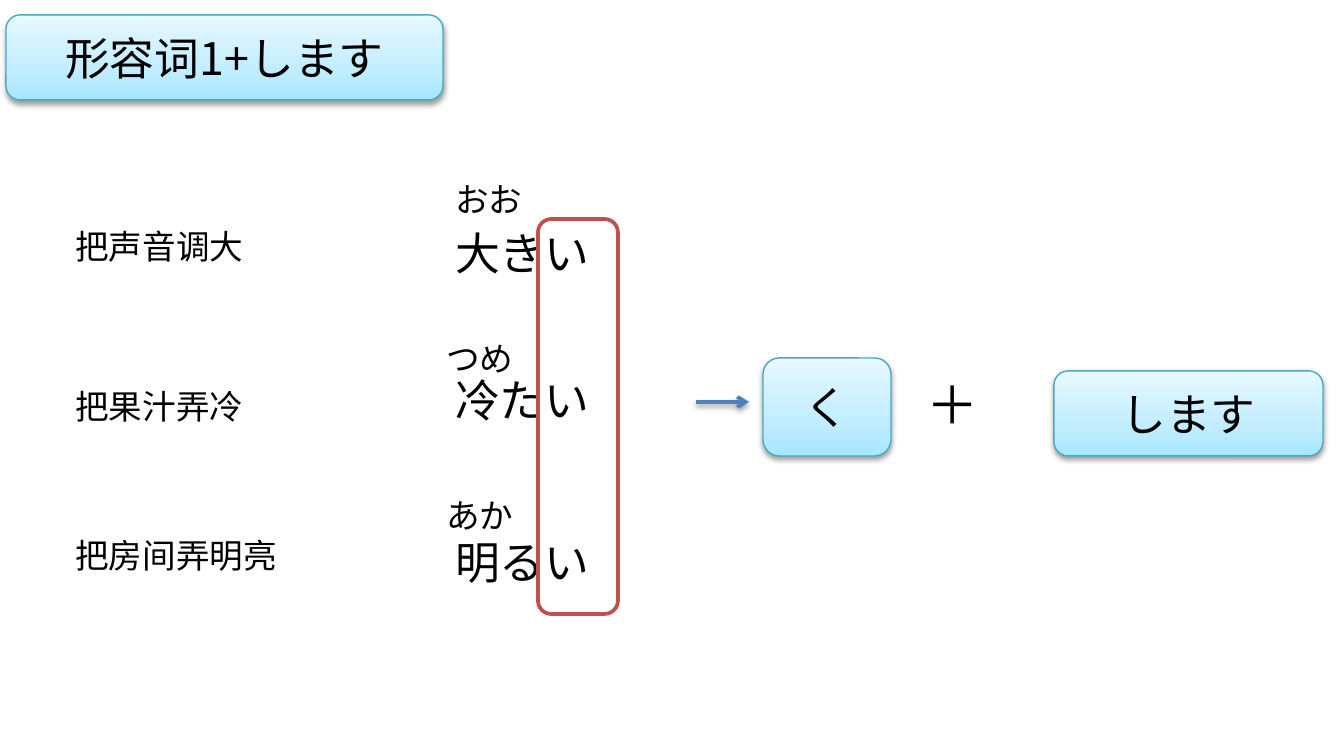
from copy import deepcopy

from lxml import etree
from pptx import Presentation
from pptx.dml.color import RGBColor
from pptx.enum.shapes import MSO_CONNECTOR, MSO_SHAPE
from pptx.enum.text import MSO_ANCHOR, PP_ALIGN
from pptx.oxml import parse_xml
from pptx.oxml.ns import qn
from pptx.util import Emu, Pt

PX = 914400 / 134.4
BLACK = RGBColor(0x00, 0x00, 0x00)
RED = RGBColor(0xC0, 0x50, 0x4D)
BLUE = RGBColor(0x4F, 0x81, 0xBD)
TEAL = RGBColor(0x46, 0xAA, 0xC5)
GRADIENT = [
    (0, RGBColor(0xA7, 0xE6, 0xFF)),
    (0.35, RGBColor(0xC1, 0xED, 0xFF)),
    (1, RGBColor(0xE7, 0xF8, 0xFF)),
]
CJK = "Noto Sans CJK SC"
LATIN = "Calibri"
SHADOW = (
    '<a:effectLst xmlns:a="http://schemas.openxmlformats.org/drawingml/2006/main">'
    '<a:outerShdw blurRad="39370" dist="20320" dir="5400000" rotWithShape="0">'
    '<a:srgbClr val="000000"><a:alpha val="38000"/></a:srgbClr>'
    "</a:outerShdw></a:effectLst>"
)


def px(*lengths):
    return [Emu(round(length * PX)) for length in lengths]


def write(shape, text, size, font):
    shape.text_frame.word_wrap = True
    paragraph = shape.text_frame.paragraphs[0]
    paragraph.text = text
    run = paragraph.runs[0]
    run.font.size = Pt(size)
    run.font.name = font
    run.font.color.rgb = BLACK
    etree.SubElement(run.font._element, qn("a:ea"), typeface=font)


presentation = Presentation()
presentation.slide_width, presentation.slide_height = px(1344, 756)
slide = presentation.slides.add_slide(presentation.slide_layouts[6])
shapes = slide.shapes

# Phrases, adjectives and their readings
texts = [
    ("把声音调大", 62, 219, 293, 54, 18, CJK),
    ("把果汁弄冷", 62, 379, 293, 54, 18, CJK),
    ("把房间弄明亮", 62, 528, 293, 54, 18, CJK),
    ("大きい", 442, 219, 224, 67, 24, CJK),
    ("冷たい", 442, 366, 224, 67, 24, CJK),
    ("明るい", 442, 528, 224, 67, 24, CJK),
    ("おお", 442, 172, 94, 54, 18, LATIN),
    ("つめ", 433, 331, 105, 54, 18, LATIN),
    ("あか", 433, 488, 112, 54, 18, LATIN),
    ("＋", 913, 366, 70, 77, 28, LATIN),
]
for text, left, top, width, height, size, font in texts:
    write(shapes.add_textbox(*px(left, top, width, height)), text, size, font)

# Frame around the shared ending
ending_frame = shapes.add_shape(MSO_SHAPE.ROUNDED_RECTANGLE, *px(538, 219, 80, 395))
ending_frame.shadow.inherit = False
ending_frame.fill.background()
ending_frame.line.color.rgb = RED
ending_frame.line.width = Pt(2)

# Gradient boxes
boxes = [
    ("形容词1+します", 6, 15, 437, 85),
    ("く", 763, 358, 128, 98),
    ("します", 1054, 371, 269, 85),
]
for text, left, top, width, height in boxes:
    box = shapes.add_shape(MSO_SHAPE.ROUNDED_RECTANGLE, *px(left, top, width, height))
    box.fill.gradient()
    box.fill.gradient_angle = 90
    first_stop = box._element.spPr.find(".//" + qn("a:gs"))
    first_stop.addnext(deepcopy(first_stop))
    for stop, (position, color) in zip(box.fill.gradient_stops, GRADIENT):
        stop.position = position
        stop.color.rgb = color
    box.line.color.rgb = TEAL
    box.line.width = Pt(0.75)
    box._element.spPr.append(parse_xml(SHADOW))
    write(box, text, 24, CJK)
    box.text_frame.vertical_anchor = MSO_ANCHOR.MIDDLE
    box.text_frame.paragraphs[0].alignment = PP_ALIGN.CENTER

# Arrow from the ending to its replacement
arrow = shapes.add_connector(MSO_CONNECTOR.STRAIGHT, *px(696, 402, 749, 402))
arrow.line.color.rgb = BLUE
arrow.line.width = Pt(2)
etree.SubElement(arrow.line._get_or_add_ln(), qn("a:tailEnd"), type="arrow")
arrow._element.spPr.append(parse_xml(SHADOW))

presentation.save("out.pptx")
